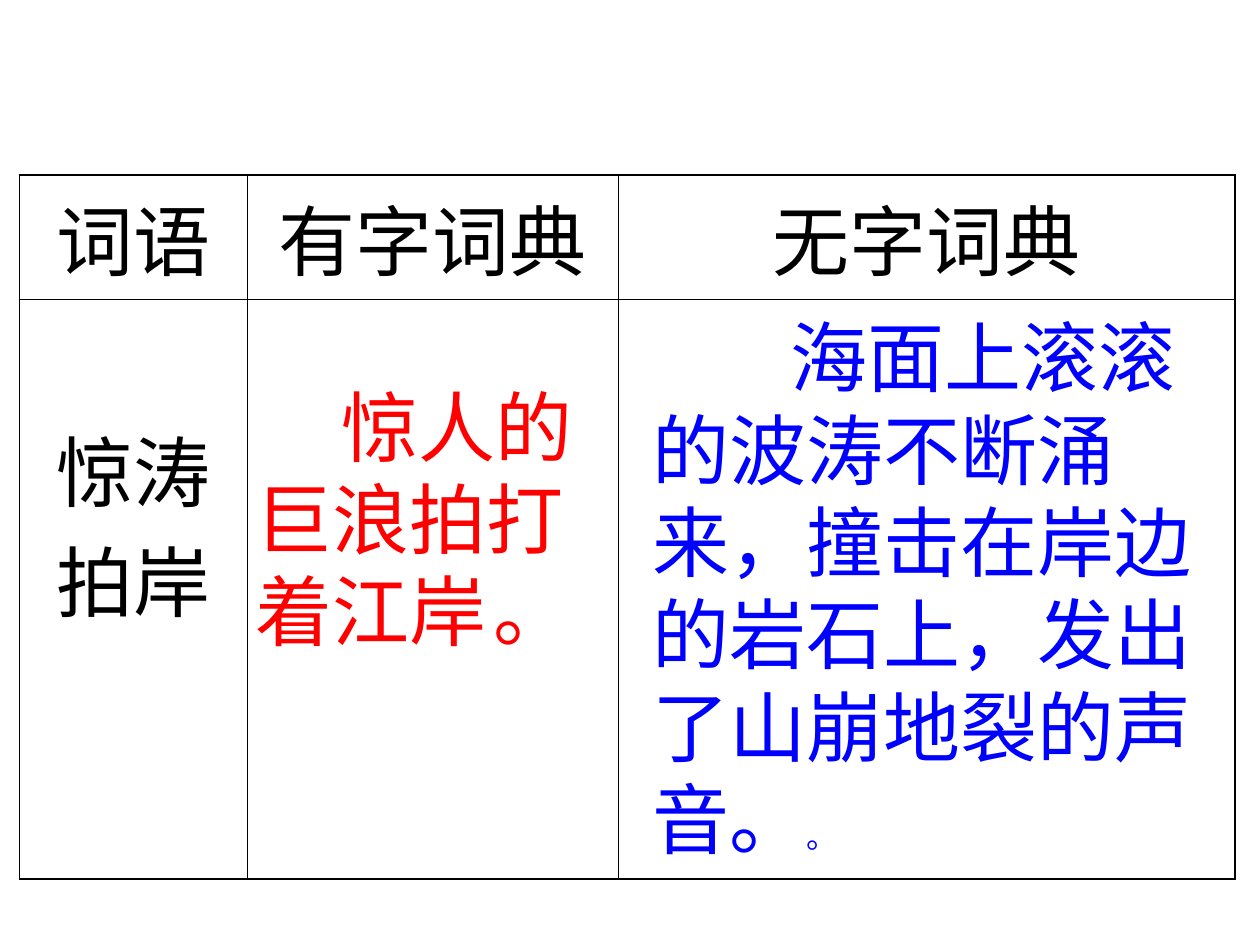
from dataclasses import dataclass

from lxml import etree
from pptx import Presentation
from pptx.dml.color import RGBColor
from pptx.enum.text import MSO_ANCHOR, PP_ALIGN
from pptx.oxml.ns import qn
from pptx.util import Cm, Pt

CENTER = PP_ALIGN.CENTER
LEFT = PP_ALIGN.LEFT
MIDDLE = MSO_ANCHOR.MIDDLE


@dataclass(frozen=True)
class Theme:
    font: str = "Arial"
    ink: str = "000000"
    red: str = "FF0000"
    blue: str = "0000FF"
    large: int = 44
    small: int = 18
    outer_line: float = 1.08
    inner_line: float = 0.45


theme = Theme()


def write_text(frame, runs, color, align=LEFT, indent=0, line_spacing=None):
    """Write one paragraph from (text, size) pairs."""
    frame.word_wrap = True
    paragraph = frame.paragraphs[0]
    paragraph.alignment = align
    paragraph.line_spacing = line_spacing
    properties = paragraph._p.get_or_add_pPr()
    properties.set("hangingPunct", "0")
    if indent:
        properties.set("marL", "0")
        properties.set("indent", str(indent))
    for text, size in runs:
        run = paragraph.add_run()
        run.text = text
        run.font.name = theme.font
        run.font.size = Pt(size)
        run.font.color.rgb = RGBColor.from_string(color)


def add_border(cell, side, width):
    properties = cell._tc.get_or_add_tcPr()
    line = etree.SubElement(properties, qn(f"a:{side}"), w=str(Pt(width)))
    fill = etree.SubElement(line, qn("a:solidFill"))
    etree.SubElement(fill, qn("a:srgbClr"), val=theme.ink)


presentation = Presentation()
presentation.slide_width = Cm(25.4)
presentation.slide_height = Cm(19.05)
slide = presentation.slides.add_slide(presentation.slide_layouts[6])

# Table grid
column_widths = [4.6, 7.47, 12.44]
row_heights = [2.5, 11.68]
last_row, last_column = len(row_heights) - 1, len(column_widths) - 1
table = slide.shapes.add_table(
    len(row_heights), len(column_widths), Cm(0.39), Cm(3.53),
    Cm(sum(column_widths)), Cm(sum(row_heights)),
).table
for column, width in zip(table.columns, column_widths):
    column.width = Cm(width)
for row, height in zip(table.rows, row_heights):
    row.height = Cm(height)

# Heavier frame, thin inner lines, no fill
for row_index in range(last_row + 1):
    for column_index in range(last_column + 1):
        cell = table.cell(row_index, column_index)
        on_frame = {
            "lnL": column_index == 0,
            "lnR": column_index == last_column,
            "lnT": row_index == 0,
            "lnB": row_index == last_row,
        }
        for side, is_outer in on_frame.items():
            add_border(cell, side, theme.outer_line if is_outer else theme.inner_line)
        cell.fill.background()

# Header row
for column_index, heading in enumerate(["词语", "有字词典", "无字词典"]):
    cell = table.cell(0, column_index)
    cell.vertical_anchor = MIDDLE
    write_text(cell.text_frame, [(heading, theme.large)], theme.ink, align=CENTER)

# Word being explained
word_cell = table.cell(1, 0)
word_cell.margin_top = Cm(2.3)
write_text(word_cell.text_frame, [("惊涛拍岸", theme.large)], theme.ink,
           align=CENTER, line_spacing=Pt(63))

# Explanations over the two wide cells
explanations = [
    ((4.9, 7.52, 7.8, 5.84), theme.red, 1.74,
     [("惊人的巨浪拍打着江岸", theme.large), (" ", theme.small), ("。", theme.large)]),
    ((12.9, 6.12, 11.81, 11.43), theme.blue, 2.78,
     [("海面上滚滚的波涛不断涌来，撞击在岸边的岩石上，发出了山崩地裂的声音。", theme.large),
      ("。", theme.small)]),
]
for box, color, indent, runs in explanations:
    text_box = slide.shapes.add_textbox(*map(Cm, box))
    write_text(text_box.text_frame, runs, color, indent=Cm(indent))

presentation.save("out.pptx")
